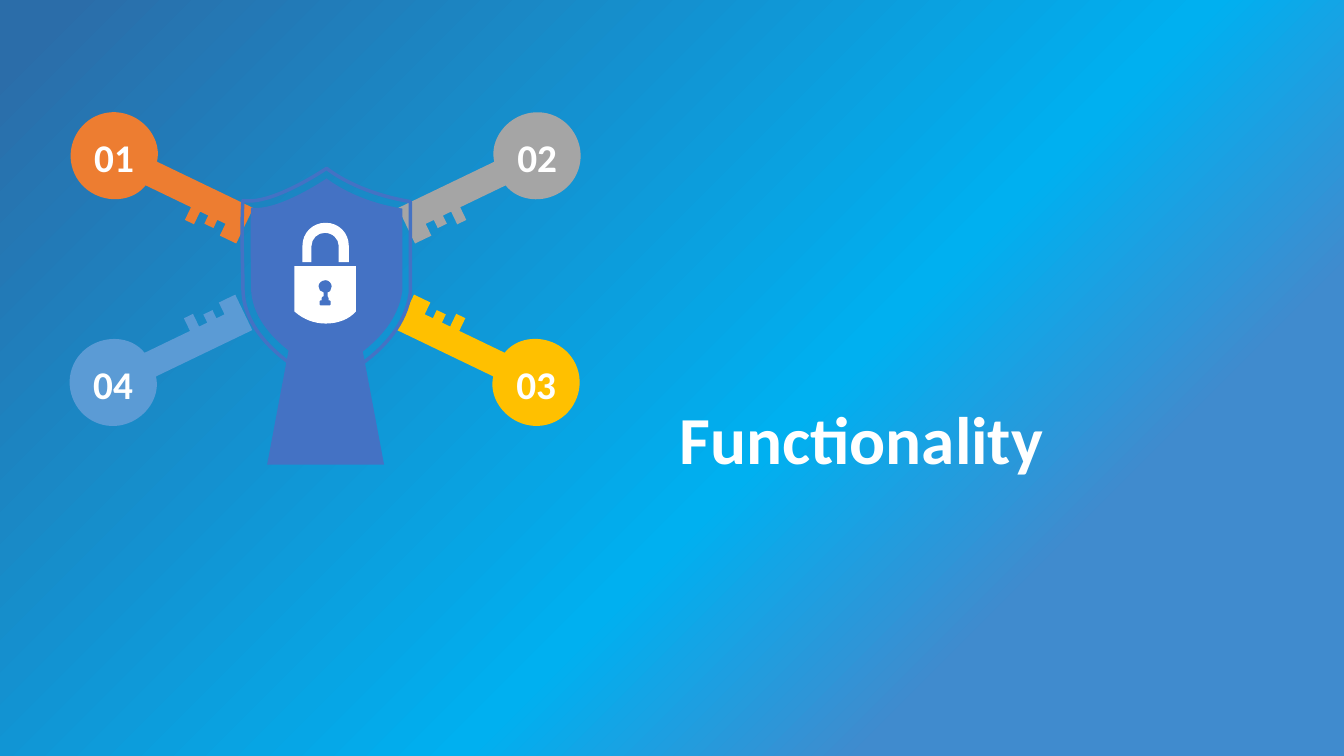
import math
from lxml import etree
from pptx import Presentation
from pptx.dml.color import RGBColor
from pptx.enum.text import MSO_ANCHOR, MSO_AUTO_SIZE, PP_ALIGN
from pptx.oxml.ns import qn
from pptx.util import Inches, Pt

BLUE = RGBColor(0x44, 0x72, 0xC4)
ORANGE = RGBColor(0xED, 0x7D, 0x31)
GRAY = RGBColor(0xA5, 0xA5, 0xA5)
GOLD = RGBColor(0xFF, 0xC0, 0x00)
SKY = RGBColor(0x5B, 0x9B, 0xD5)
WHITE = RGBColor(0xFF, 0xFF, 0xFF)
LEFT, CENTER = PP_ALIGN.LEFT, PP_ALIGN.CENTER
TOP, MIDDLE = MSO_ANCHOR.TOP, MSO_ANCHOR.MIDDLE
FIT_SHAPE, NO_FIT = MSO_AUTO_SIZE.SHAPE_TO_FIT_TEXT, MSO_AUTO_SIZE.NONE


def add_outline(shapes, segments, fill=None, line=None):
    """Draw a closed outline: pairs are corners, six numbers a Bezier curve."""
    ends = [(Inches(seg[-2]), Inches(seg[-1])) for seg in segments]
    fb = shapes.build_freeform(*ends[0])
    fb.add_line_segments(ends[1:], close=True)
    sp = fb.convert_to_shape()
    # Turn the straight steps of the curved segments into Bezier steps
    for step, seg in zip(list(sp._element.iter(qn("a:lnTo"))), segments[1:]):
        if len(seg) == 6:
            curve = etree.Element(qn("a:cubicBezTo"))
            for x, y in zip(seg[::2], seg[1::2]):
                etree.SubElement(curve, qn("a:pt"), x=str(Inches(x) - sp.left),
                                 y=str(Inches(y) - sp.top))
            step.getparent().replace(step, curve)
    sp.shadow.inherit = False
    if fill is None:
        sp.fill.background()
        sp.line.color.rgb = line
        sp.line.width = Pt(2.5)
    else:
        sp.fill.solid()
        sp.fill.fore_color.rgb = fill
        sp.line.fill.background()
    return sp


def add_text(tf, text, size, align, anchor, fit):
    tf.word_wrap = True
    tf.auto_size = fit
    tf.vertical_anchor = anchor
    p = tf.paragraphs[0]
    p.alignment = align
    r = p.add_run()
    r.text = text
    r.font.name = "Calibri"
    r.font.size = Pt(size)
    r.font.bold = True
    r.font.color.rgb = WHITE
    return p


prs = Presentation()
prs.slide_width, prs.slide_height = Inches(13.33), Inches(7.5)
s = prs.slides.add_slide(prs.slide_layouts[5])

# Background: radial gradient centred on the bottom right corner
fill = s.background.fill
fill.gradient()
grad = fill._fill._gradFill
for child in list(grad):
    grad.remove(child)
stops = [(0, "408BCE"), (23, "408BCE"), (42, "00B0F0"), (97, "2B6DA9")]
gs = "".join(f'<a:gs pos="{pos}000"><a:srgbClr val="{rgb}"/></a:gs>' for pos, rgb in stops)
gradient = etree.fromstring(
    '<a:gradFill xmlns:a="http://schemas.openxmlformats.org/drawingml/2006/main">'
    f'<a:gsLst>{gs}</a:gsLst><a:path path="circle">'
    '<a:fillToRect l="100000" t="100000"/></a:path>'
    '<a:tileRect r="-100000" b="-100000"/></a:gradFill>')
for child in list(gradient):
    grad.append(child)

# Title
title = s.shapes.title
title.left, title.top = Inches(6.64), Inches(3.98)
title.width, title.height = Inches(5.82), Inches(2.27)
p = add_text(title.text_frame, "Functionality", 48, LEFT, TOP, NO_FIT)
p.line_spacing = 0.9
p.space_after = Pt(6)

# Keyhole
keys = s.shapes.add_group_shape().shapes
add_outline(keys, [
    (3.23, 1.92), (3.63, 1.92, 3.95, 2.25, 3.95, 2.64),
    (3.95, 2.92, 3.79, 3.17, 3.56, 3.28), (3.81, 4.61), (2.65, 4.61), (2.9, 3.28),
    (2.67, 3.17, 2.51, 2.92, 2.51, 2.64), (2.51, 2.25, 2.83, 1.92, 3.23, 1.92)], BLUE)

# One lying key around its own centre: round bow on the left, teeth below
BOW, TILT = -0.52, 25.7
key = [
    (-0.52, -0.43), (-0.33, -0.43, -0.15, -0.31, -0.11, -0.13),
    (0.95, -0.13), (0.95, -0.02), (0.95, 0.14), (0.95, 0.26), (0.87, 0.26), (0.77, 0.26),
    (0.77, 0.13), (0.68, 0.13), (0.68, 0.22), (0.58, 0.22), (0.58, 0.13),
    (0.49, 0.13), (0.49, 0.27), (0.39, 0.27), (0.39, 0.13), (-0.11, 0.13),
    (-0.15, 0.31, -0.33, 0.43, -0.52, 0.43), (-0.76, 0.43, -0.95, 0.24, -0.95, 0),
    (-0.95, -0.24, -0.76, -0.43, -0.52, -0.43)]

# Keys: number, colour, centre, horizontal and vertical mirroring
key_list = [
    ("01", ORANGE, 1.6, 1.77, 1, 1),
    ("02", GRAY, 4.86, 1.77, -1, 1),
    ("03", GOLD, 4.85, 3.57, -1, -1),
    ("04", SKY, 1.59, 3.57, 1, -1),
]
for number, color, cx, cy, mx, my in key_list:
    outline = [[cy + my * v if i % 2 else cx + mx * v for i, v in enumerate(seg)]
               for seg in key]
    sp = add_outline(keys, outline, color)
    sp.rotation = mx * my * TILT

# Key numbers, centred on the bows
W, H = 0.74, 0.57
for number, color, cx, cy, mx, my in key_list:
    x = cx + mx * BOW * math.cos(math.radians(TILT))
    y = cy + my * BOW * math.sin(math.radians(TILT)) + 0.01
    tb = keys.add_textbox(Inches(x - W / 2), Inches(y - H / 2), Inches(W), Inches(H))
    add_text(tb.text_frame, number, 28, CENTER, MIDDLE, FIT_SHAPE)

# Shield: outer line and filled face
shield = s.shapes.add_group_shape().shapes
add_outline(shield, [
    (3.24, 1.67), (3.24, 1.67, 2.7, 2.04, 2.41, 1.99),
    (2.39, 2.32, 2.41, 2.63, 2.41, 2.87), (2.42, 3.47, 3.23, 3.81, 3.23, 3.81),
    (3.23, 3.81, 3.98, 3.52, 4.07, 2.91), (4.07, 2.6, 4.07, 2.28, 4.07, 2),
    (3.52, 1.91, 3.24, 1.67, 3.24, 1.67)], line=BLUE)
add_outline(shield, [
    (3.24, 1.77), (3.24, 1.77, 2.76, 2.1, 2.49, 2.06),
    (2.48, 2.35, 2.49, 2.63, 2.49, 2.86), (2.5, 3.39, 3.23, 3.7, 3.23, 3.7),
    (3.23, 3.7, 3.91, 3.44, 3.99, 2.89), (3.99, 2.61, 3.99, 2.32, 3.99, 2.07),
    (3.5, 1.99, 3.24, 1.77, 3.24, 1.77)], BLUE)

# Padlock: body, shackle and keyhole
add_outline(shield, [
    (3.53, 3.09), (3.46, 3.17, 3.35, 3.21, 3.23, 3.21),
    (3.12, 3.21, 3.01, 3.17, 2.92, 3.09), (2.92, 2.64), (3.53, 2.64)], WHITE)
add_outline(shield, [
    (3.23, 2.21), (3.1, 2.21, 3, 2.31, 3, 2.44), (3, 2.6), (3.09, 2.6), (3.09, 2.44),
    (3.09, 2.37, 3.15, 2.31, 3.22, 2.31), (3.3, 2.31, 3.36, 2.37, 3.36, 2.44),
    (3.36, 2.6), (3.46, 2.6), (3.46, 2.44), (3.46, 2.31, 3.36, 2.21, 3.23, 2.21)], WHITE)
add_outline(shield, [
    (3.27, 2.98), (3.26, 2.98), (3.26, 2.96), (3.26, 2.95, 3.25, 2.94, 3.25, 2.94),
    (3.25, 2.9), (3.27, 2.9, 3.29, 2.87, 3.29, 2.84), (3.29, 2.81, 3.26, 2.78, 3.23, 2.78),
    (3.19, 2.78, 3.16, 2.81, 3.16, 2.84), (3.16, 2.87, 3.18, 2.9, 3.21, 2.9),
    (3.21, 2.94), (3.2, 2.94, 3.19, 2.95, 3.19, 2.96), (3.19, 2.98), (3.18, 2.98),
    (3.18, 2.98, 3.17, 2.98, 3.17, 2.99), (3.17, 3.02), (3.17, 3.03, 3.18, 3.03, 3.18, 3.03),
    (3.27, 3.03), (3.28, 3.03, 3.28, 3.03, 3.28, 3.02), (3.28, 2.99),
    (3.28, 2.98, 3.28, 2.98, 3.27, 2.98)], BLUE)

prs.save("out.pptx")
